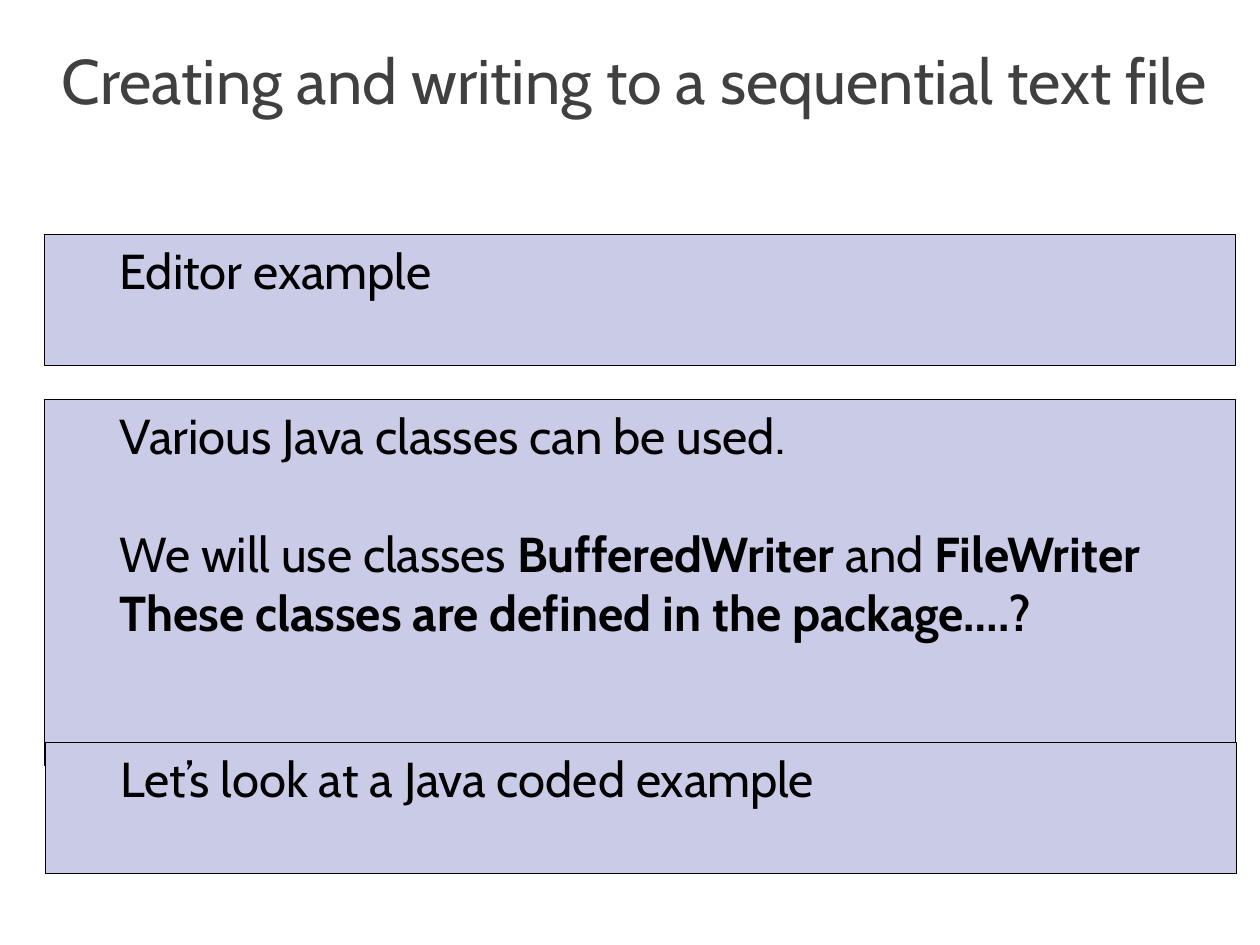
from pptx import Presentation
from pptx.dml.color import RGBColor
from pptx.enum.shapes import MSO_SHAPE as Shape
from pptx.enum.text import MSO_ANCHOR as Anchor, MSO_AUTO_SIZE as AutoSize, PP_ALIGN as Align
from pptx.util import Inches, Pt

WHITE = RGBColor(0xFF, 0xFF, 0xFF)
BLACK = RGBColor(0x00, 0x00, 0x00)
GREY = RGBColor(0x40, 0x40, 0x40)
LAVENDER = RGBColor(0xC9, 0xCB, 0xE7)

COLUMNS, ROWS = 100, 75
TITLE_ONLY = 5


class SlideBuilder:
    font_name = "Cabin"
    title_size = Pt(36)
    text_size = Pt(28)
    paragraph_gap = Pt(34)
    indent = Inches(0.5)

    def __init__(self, deck):
        self.column = deck.slide_width / COLUMNS
        self.row = deck.slide_height / ROWS
        self.page = deck.slides.add_slide(deck.slide_layouts[TITLE_ONLY])
        background = self.page.background.fill
        background.solid()
        background.fore_color.rgb = WHITE

    def place(self, left, top, width, height):
        return (round(left * self.column), round(top * self.row),
                round(width * self.column), round(height * self.row))

    def set_frame(self, frame):
        frame.word_wrap = True
        frame.auto_size = AutoSize.NONE
        frame.vertical_anchor = Anchor.TOP

    def set_font(self, para, size, color):
        para.font.name = self.font_name
        para.font.size = size
        para.font.color.rgb = color

    def title(self, text, *area):
        title = self.page.shapes.title
        title.left, title.top, title.width, title.height = self.place(*area)
        self.set_frame(title.text_frame)
        title.text_frame.text = text
        para = title.text_frame.paragraphs[0]
        para.alignment = Align.CENTER
        self.set_font(para, self.title_size, GREY)

    def panel(self, paragraphs, *area):
        box = self.page.shapes.add_shape(Shape.RECTANGLE, *self.place(*area))
        box.shadow.inherit = False
        box.fill.solid()
        box.fill.fore_color.rgb = LAVENDER
        box.line.color.rgb = BLACK
        box.line.width = Pt(0.25)
        frame = box.text_frame
        self.set_frame(frame)
        for index, (spans, gap_before) in enumerate(paragraphs):
            para = frame.add_paragraph() if index else frame.paragraphs[0]
            para.alignment = Align.LEFT
            para.level = 1
            properties = para._p.get_or_add_pPr()
            properties.set("marL", str(self.indent))
            properties.set("indent", "0")
            if gap_before:
                para.space_before = self.paragraph_gap
            self.set_font(para, self.text_size, BLACK)
            for text, bold in spans:
                span = para.add_run()
                span.text = text
                span.font.bold = bold


def main():
    deck = Presentation()
    deck.slide_width, deck.slide_height = Inches(10), Inches(7.5)
    slide = SlideBuilder(deck)

    slide.title("Creating and writing to a sequential text file", 3.5, 2.8, 93.7, 13)
    slide.panel([([("Editor example", False)], False)], 3.5, 18.6, 94.5, 10.4)
    slide.panel([
        ([("Various Java classes can be used.", False)], False),
        ([("We will use classes ", False), ("BufferedWriter", True),
          (" and ", False), ("FileWriter", True)], True),
        ([("These classes are defined in the package….?", True)], False),
    ], 3.5, 31.7, 94.5, 29)
    slide.panel([([("Let’s look at a Java coded example", False)], False)],
                3.6, 58.9, 94.5, 10.4)

    deck.save("out.pptx")


if __name__ == "__main__":
    main()
